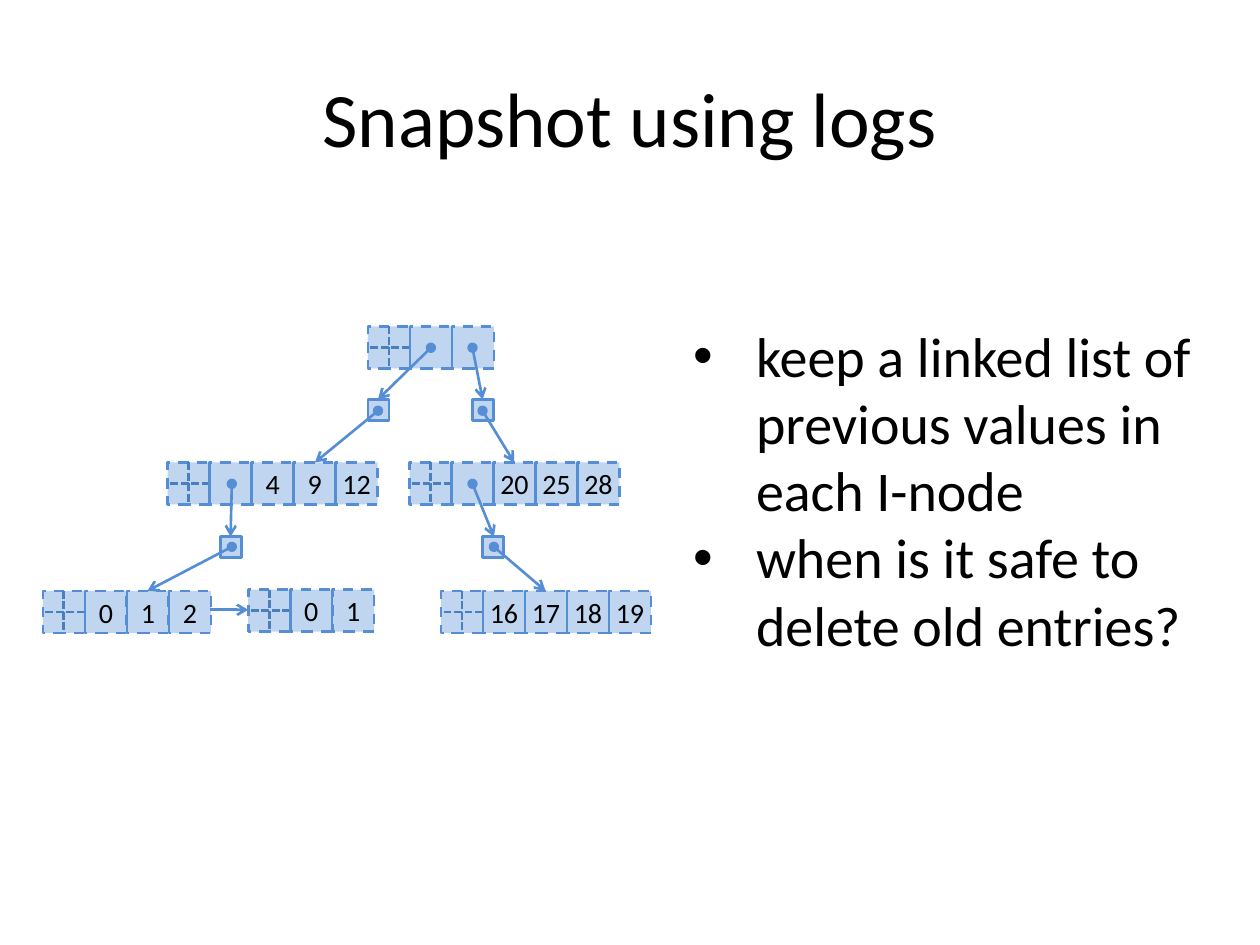
"""Build the slide on snapshots that use logs in a tree of nodes."""
from lxml.etree import SubElement
from pptx import Presentation
from pptx.dml.color import RGBColor
from pptx.enum.dml import MSO_LINE
from pptx.enum.shapes import MSO_CONNECTOR as Connector, MSO_SHAPE as Preset
from pptx.enum.text import MSO_ANCHOR as Anchor, MSO_AUTO_SIZE as AutoSize, PP_ALIGN as Align
from pptx.oxml.ns import qn
from pptx.util import Inches, Pt

COLORS = {"node": "558ED5", "divider": "4B7EBC", "text": "000000"}
CELL = 1 / 3
BOX = 1 / 6
POINTER = ""
NODES = [
    (2.92, 2.59, [POINTER, POINTER]),
    (1.33, 3.67, [POINTER, "4", "9", "12"]),
    (3.25, 3.67, [POINTER, "20", "25", "28"]),
    (0.34, 4.69, ["0", "1", "2"]),
    (1.97, 4.68, ["0", "1"]),
    (3.5, 4.69, ["16", "17", "18", "19"]),
]
BOXES = [(2.92, 3.17), (3.75, 3.17), (1.75, 4.26), (3.83, 4.26)]
POINTERS = [
    ((3.42, 2.76), (3, 3.17)),
    ((3.75, 2.76), (3.83, 3.17)),
    ((3, 3.26), (2.5, 3.67)),
    ((3.83, 3.26), (4.08, 3.67)),
    ((1.84, 3.84), (1.83, 4.26)),
    ((3.75, 3.84), (3.92, 4.26)),
    ((1.84, 4.34), (1.17, 4.69)),
    ((3.92, 4.34), (4.33, 4.69)),
]
BULLETS = [
    "keep a linked list of previous values in each I-node",
    "when is it safe to delete old entries?",
]


def color(name):
    return RGBColor.from_string(COLORS[name])


def write_text(frame, *lines, size, align, anchor, wrap=True, indent=0):
    frame.auto_size = AutoSize.NONE
    frame.vertical_anchor = anchor
    frame.word_wrap = wrap
    frame.text = "\n".join(lines)
    for paragraph in frame.paragraphs:
        paragraph.alignment = align
        paragraph.space_before = Pt(0)
        if indent:
            properties = paragraph._p.get_or_add_pPr()
            properties.set("marL", str(Inches(indent)))
            properties.set("indent", str(-Inches(indent)))
        paragraph.font.name = "Calibri"
        paragraph.font.size = Pt(size)
        paragraph.font.color.rgb = color("text")


def style_line(line, name, dash=None):
    line.color.rgb = color(name)
    line.width = Pt(1.5)
    if dash:
        line.dash_style = dash


def add_square(shapes, left, top, side, dash=None, text=""):
    shape = shapes.add_shape(Preset.RECTANGLE, *map(Inches, (left, top, side, side)))
    shape.shadow.inherit = False
    shape.fill.solid()
    shape.fill.fore_color.rgb = color("node")
    fill_color = shape._element.spPr.find(qn("a:solidFill"))[0]
    SubElement(fill_color, qn("a:alpha"), val="37000")
    style_line(shape.line, "node", dash)
    if text:
        write_text(shape.text_frame, text, size=16, align=Align.CENTER,
                   anchor=Anchor.MIDDLE, wrap=False)


def add_line(shapes, start, end, name="node", dash=None, head=None, tail=None):
    connector = shapes.add_connector(Connector.STRAIGHT, *map(Inches, (*start, *end)))
    style_line(connector.line, name, dash)
    properties = connector._element.spPr
    for tag, kind in (("a:headEnd", head), ("a:tailEnd", tail)):
        if kind:
            SubElement(properties.find(qn("a:ln")), qn(tag), type=kind)
    SubElement(properties, qn("a:effectLst"))


def add_header(slide, left, top):
    shapes = slide.shapes.add_group_shape().shapes
    middle_x, middle_y = left + CELL / 2, top + CELL / 2
    divider = {"name": "divider", "dash": MSO_LINE.SQUARE_DOT}
    add_square(shapes, left, top, CELL, MSO_LINE.DASH)
    add_line(shapes, (middle_x, top), (middle_x, top + CELL), **divider)
    add_line(shapes, (left + CELL, middle_y), (left, middle_y), **divider)


def add_node(slide, left, top, values):
    add_header(slide, left, top)
    for column, value in enumerate(values, start=1):
        add_square(slide.shapes, left + column * CELL, top, CELL, MSO_LINE.DASH, value)


def place(shape, *bounds):
    shape.left, shape.top, shape.width, shape.height = map(Inches, bounds)


def main():
    presentation = Presentation()
    presentation.slide_width = Inches(10)
    presentation.slide_height = Inches(7.5)
    slide = presentation.slides.add_slide(presentation.slide_layouts[1])

    title, body = slide.placeholders
    place(title, 0.5, 0.3, 9, 1.25)
    write_text(title.text_frame, "Snapshot using logs", size=44,
               align=Align.CENTER, anchor=Anchor.MIDDLE)
    place(body, 5.4, 2.5, 4.4, 3.33)
    write_text(body.text_frame, *BULLETS, size=32, align=Align.LEFT,
               anchor=Anchor.TOP, indent=0.5)

    for node in NODES:
        add_node(slide, *node)
    for left, top in BOXES:
        add_square(slide.shapes, left, top, BOX)
    for start, end in POINTERS:
        add_line(slide.shapes, start, end, head="oval", tail="arrow")
    add_line(slide.shapes, (1.67, 4.84), (1.97, 4.84), tail="arrow")

    presentation.save("out.pptx")


if __name__ == "__main__":
    main()
